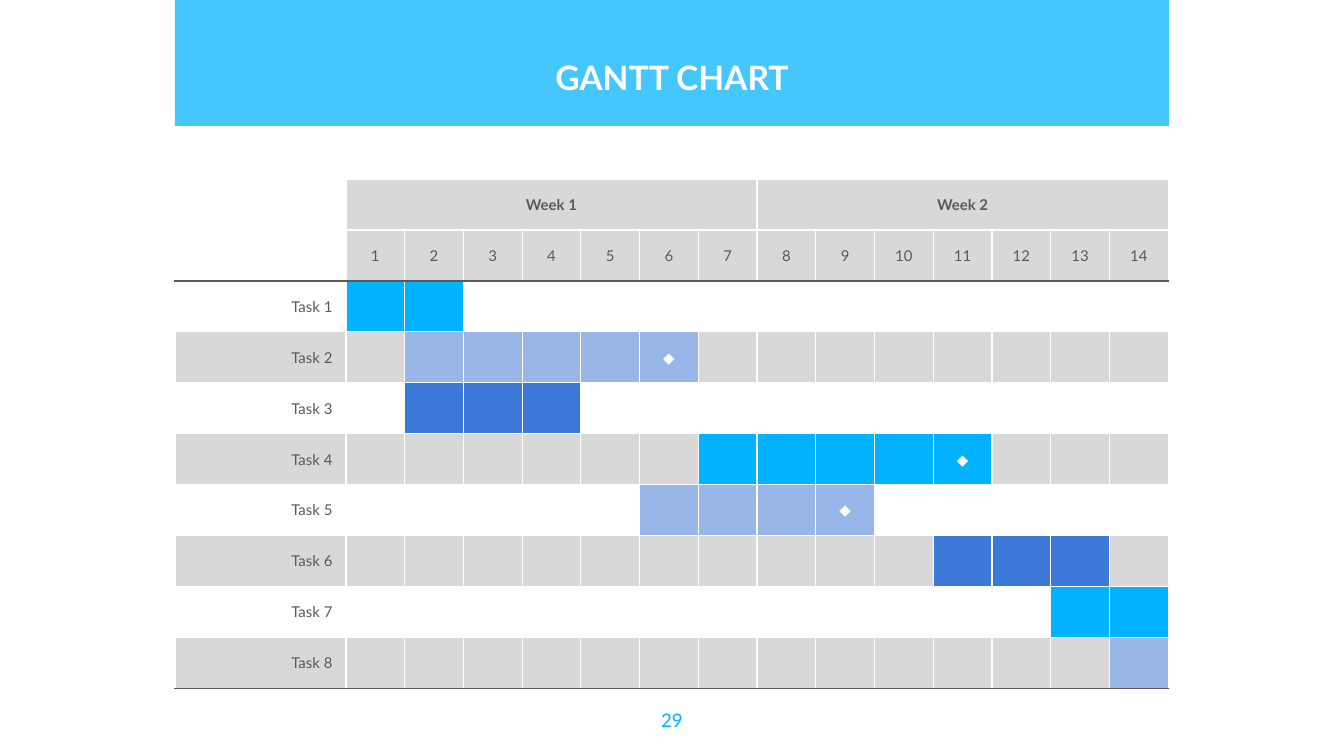
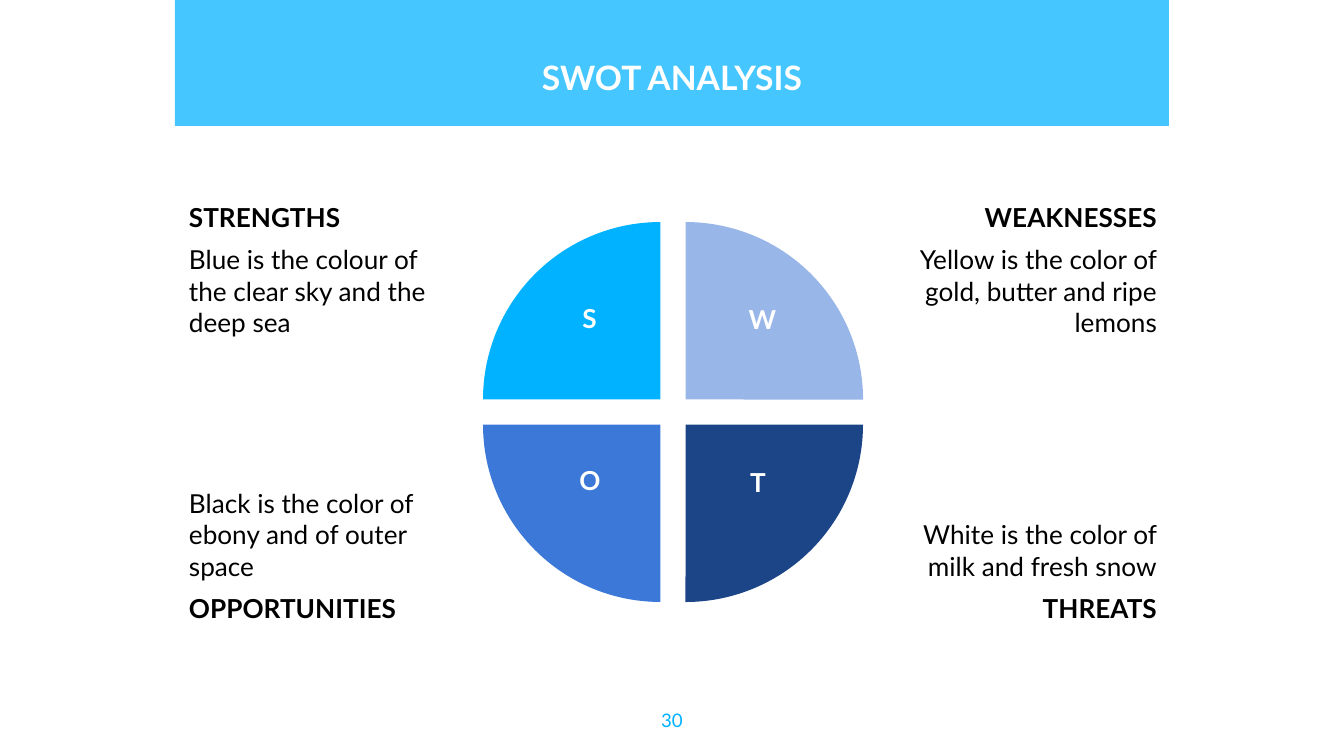
"""Builds a Gantt chart slide and a SWOT analysis slide."""
from dataclasses import dataclass

from lxml import etree
from pptx import Presentation
from pptx.dml.color import RGBColor
from pptx.enum import shapes, text
from pptx.oxml import ns
from pptx.util import Emu, Pt

GANTT_TITLE, GANTT_NUMBER = "GANTT CHART", "29"
WEEKS = ["Week 1", "Week 2"]
DAYS_PER_WEEK = 7
MILESTONE = "◆"
TASKS = [
    ("Task 1", 1, 2, False),
    ("Task 2", 2, 6, True),
    ("Task 3", 2, 4, False),
    ("Task 4", 7, 11, True),
    ("Task 5", 6, 9, True),
    ("Task 6", 11, 13, False),
    ("Task 7", 13, 14, False),
    ("Task 8", 14, 14, False),
]

SWOT_TITLE, SWOT_NUMBER = "SWOT ANALYSIS", "30"
SWOT = [
    ("STRENGTHS", "Blue is the colour of the clear sky and the deep sea"),
    ("WEAKNESSES", "Yellow is the color of gold, butter and ripe lemons"),
    ("OPPORTUNITIES", "Black is the color of ebony and of outer space"),
    ("THREATS", "White is the color of milk and fresh snow"),
]
LETTERS = [
    ("S", (564, 296, 51, 66)),
    ("W", (714, 297, 97, 65)),
    ("O", (559, 458, 62, 66)),
    ("T", (731, 460, 54, 65)),
]


@dataclass(frozen=True)
class Theme:
    """Colours, font and type sizes."""
    font: str = "Lato"
    sky: str = "00B2FF"
    pale: str = "99B6E9"
    royal: str = "3C78D8"
    navy: str = "1C4587"
    white: str = "FFFFFF"
    black: str = "000000"
    ink: str = "595959"
    stripe: str = "D8D8D8"
    title: int = 18
    body: int = 14
    number: int = 10
    cell: int = 8
    rule: float = 0.75


T = Theme()
WIDTH, HEIGHT = 1344, 756
SCALE = 9144000 / WIDTH
LEFT, CONTENT_WIDTH = 175, 994
INSET = 13
TABLE_TOP, ROW_HEIGHT, NAME_WIDTH = 179, 51, 171
PIE_LEFT, PIE_TOP, PIE_SIZE, PIE_GAP = 483, 222, 355, 25
NOTE_LEFT, NOTE_TOP, NOTE_WIDTH, NOTE_HEIGHT = 176, 188, 487, 212
NOTE_STEP_X, NOTE_STEP_Y, PIE_SIDE_INSET = 507, 237, 202

CENTER, RIGHT = text.PP_ALIGN.CENTER, text.PP_ALIGN.RIGHT


def px(*lengths):
    return [Emu(round(length * SCALE)) for length in lengths]


def rgb(colour):
    return RGBColor.from_string(colour)


def write(frame, content, size, colour, bold=False, align=None, spacing=0, more=False):
    paragraph = frame.add_paragraph() if more else frame.paragraphs[0]
    paragraph.alignment = align
    if spacing:
        paragraph.space_before = paragraph.space_after = Pt(spacing)
    run = paragraph.add_run()
    run.text = content
    run.font.name, run.font.size, run.font.bold = T.font, Pt(size), bold
    run.font.color.rgb = rgb(colour)


def set_insets(frame, left, top, right, bottom):
    frame.margin_left, frame.margin_top, frame.margin_right, frame.margin_bottom = px(
        left, top, right, bottom)


def add_label(slide, area, content, inset=None, **style):
    frame = slide.shapes.add_textbox(*px(*area)).text_frame
    frame.word_wrap = True
    if inset:
        set_insets(frame, *[inset] * 4)
    write(frame, content, align=CENTER, **style)


def add_filled(slide, kind, area, colour, opacity=100, outline=None):
    shape = slide.shapes.add_shape(kind, *px(*area))
    shape.shadow.inherit = False
    shape.fill.solid()
    shape.fill.fore_color.rgb = rgb(colour)
    if outline:
        shape.line.color.rgb = rgb(outline)
        shape.line.width = Pt(T.rule)
    else:
        shape.line.fill.background()
    if opacity < 100:
        tint = shape.element.spPr.find(ns.qn("a:solidFill"))[0]
        etree.SubElement(tint, ns.qn("a:alpha"), val=str(opacity * 1000))
    return shape


def add_slide(deck, title, number):
    slide = deck.slides.add_slide(deck.slide_layouts[6])
    add_filled(slide, shapes.MSO_SHAPE.RECTANGLE, (LEFT, 0, CONTENT_WIDTH, 126), T.sky, 73)
    add_label(slide, (LEFT, 44, CONTENT_WIDTH, 74), title, INSET,
              size=T.title, colour=T.white, bold=True)
    add_label(slide, (632, 698, 80, 58), number, INSET, size=T.number, colour=T.sky)
    return slide


def set_borders(cell, top, bottom):
    properties = cell._tc.get_or_add_tcPr()
    edges = {"lnL": T.white, "lnR": T.white, "lnT": top, "lnB": bottom}
    for place, (edge, colour) in enumerate(edges.items()):
        line = etree.Element(ns.qn(f"a:{edge}"), w=str(Pt(T.rule)))
        fill = etree.SubElement(line, ns.qn("a:solidFill"))
        etree.SubElement(fill, ns.qn("a:srgbClr"), val=colour)
        properties.insert(place, line)


def fill_cell(cell, content, ground, **style):
    cell.vertical_anchor = text.MSO_ANCHOR.MIDDLE
    if ground:
        cell.fill.solid()
        cell.fill.fore_color.rgb = rgb(ground)
    else:
        cell.fill.background()
    if content:
        colour = T.white if content == MILESTONE else T.ink
        write(cell.text_frame, content, T.cell, colour, **style)
    else:
        cell.margin_top = cell.margin_bottom = 0


def gantt_rows():
    days = len(WEEKS) * DAYS_PER_WEEK
    weeks = [("" if day % DAYS_PER_WEEK else WEEKS[day // DAYS_PER_WEEK], T.stripe)
             for day in range(days)]
    rows = [[("", None)] + weeks,
            [("", None)] + [(str(day + 1), T.stripe) for day in range(days)]]
    bars = [T.sky, T.pale, T.royal]
    for index, (name, start, end, milestone) in enumerate(TASKS):
        ground = T.stripe if index % 2 else None
        row = [(name, ground)]
        for day in range(1, days + 1):
            mark = MILESTONE if milestone and day == end else ""
            row.append((mark, bars[index % len(bars)] if start <= day <= end else ground))
        rows.append(row)
    return rows


def build_gantt(deck):
    slide = add_slide(deck, GANTT_TITLE, GANTT_NUMBER)
    rows = gantt_rows()
    days = len(rows[0]) - 1
    table = slide.shapes.add_table(len(rows), days + 1, *px(
        LEFT, TABLE_TOP, CONTENT_WIDTH, ROW_HEIGHT * len(rows))).table
    table.first_row = table.horz_banding = False
    widths = [NAME_WIDTH] + [(CONTENT_WIDTH - NAME_WIDTH) / days] * days
    for column, width in zip(table.columns, px(*widths)):
        column.width = width
    for first in range(1, days + 1, DAYS_PER_WEEK):
        table.cell(0, first).merge(table.cell(0, first + DAYS_PER_WEEK - 1))
    ruled_below = (1, len(rows) - 1)
    for r, row in enumerate(rows):
        for c, (content, ground) in enumerate(row):
            cell = table.cell(r, c)
            fill_cell(cell, content, ground, bold=r == 0, align=CENTER if c else RIGHT)
            set_borders(cell, T.ink if r == 2 else T.white,
                        T.ink if r in ruled_below else T.white)


def add_note(slide, index, heading, body):
    lower, right = divmod(index, 2)
    area = (NOTE_LEFT + right * NOTE_STEP_X, NOTE_TOP + lower * NOTE_STEP_Y,
            NOTE_WIDTH, NOTE_HEIGHT)
    note = add_filled(slide, shapes.MSO_SHAPE.RECTANGLE, area, T.white, 27, T.white)
    frame = note.text_frame
    frame.word_wrap = True
    frame.vertical_anchor = text.MSO_ANCHOR.BOTTOM if lower else text.MSO_ANCHOR.TOP
    sides = (PIE_SIDE_INSET, INSET) if right else (INSET, PIE_SIDE_INSET)
    set_insets(frame, sides[0], INSET, sides[1], INSET)
    lines = [(heading, True), (body, False)]
    for place, (content, bold) in enumerate(reversed(lines) if lower else lines):
        write(frame, content, T.body, T.black, bold,
              align=RIGHT if right else text.PP_ALIGN.LEFT,
              spacing=6 * place, more=place > 0)


def build_swot(deck):
    slide = add_slide(deck, SWOT_TITLE, SWOT_NUMBER)
    for index, (heading, body) in enumerate(SWOT):
        add_note(slide, index, heading, body)
    quarters = [(0, 0, T.sky), (1, 0, T.pale), (1, 1, T.navy), (0, 1, T.royal)]
    for turn, (right, lower, colour) in enumerate(quarters):
        area = (PIE_LEFT + right * PIE_GAP, PIE_TOP + lower * PIE_GAP, PIE_SIZE, PIE_SIZE)
        quarter = add_filled(slide, shapes.MSO_SHAPE.PIE, area, colour)
        quarter.adjustments[0], quarter.adjustments[1] = 108, 162
        quarter.rotation = 90 * turn
    for letter, area in LETTERS:
        add_label(slide, area, letter, size=T.body, colour=T.white, bold=True)


def main():
    deck = Presentation()
    deck.slide_width, deck.slide_height = px(WIDTH, HEIGHT)
    build_gantt(deck)
    build_swot(deck)
    deck.save("out.pptx")


if __name__ == "__main__":
    main()
